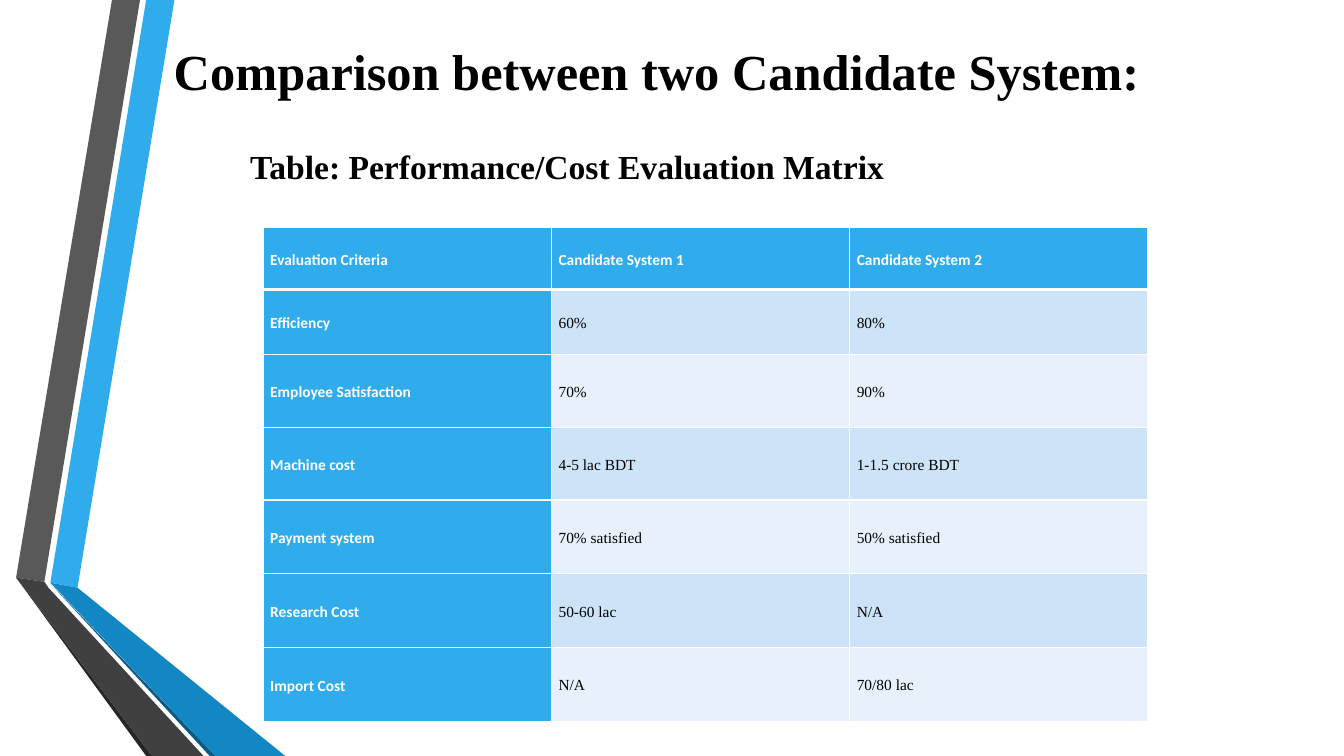
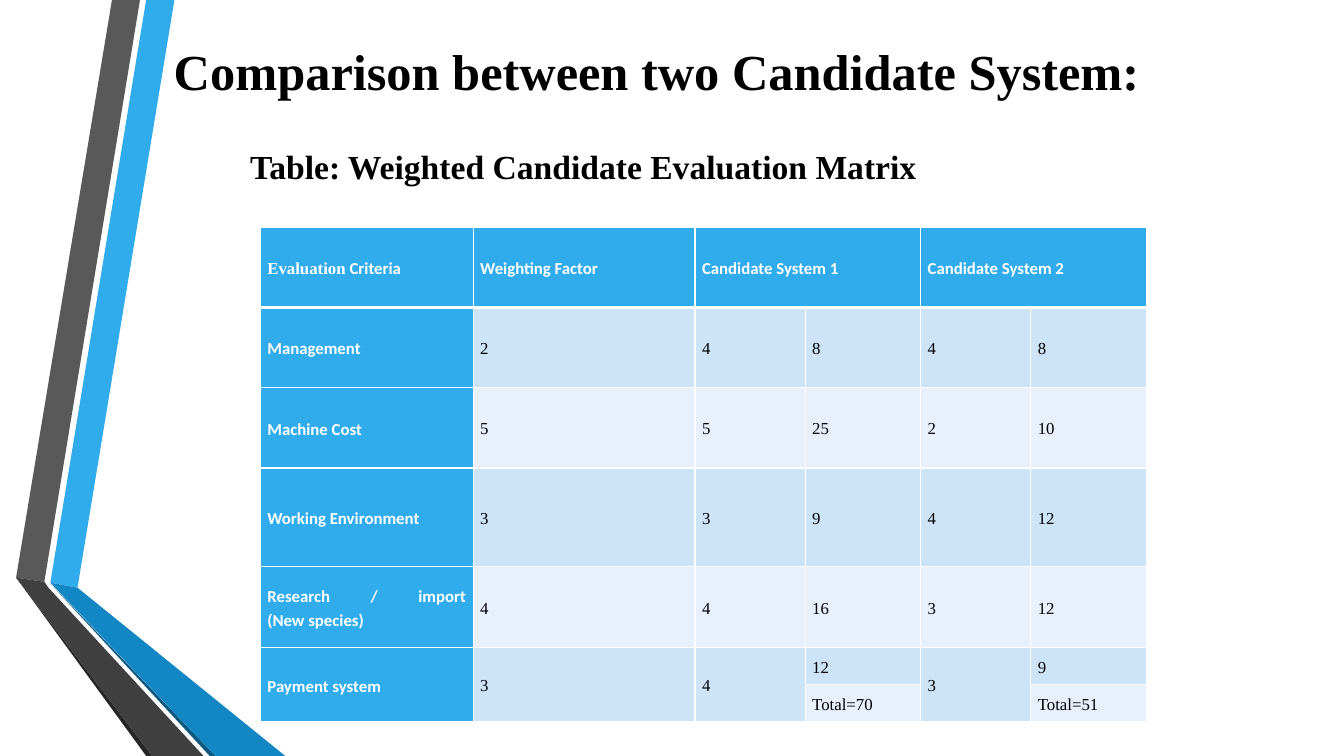
from lxml import etree
from pptx import Presentation
from pptx.dml.color import RGBColor
from pptx.enum import text
from pptx.oxml import ns
from pptx.util import Pt

SERIF, SANS = "Times New Roman", "Calibri"
BLACK, WHITE = "000000", "FFFFFF"
BLUE = "30ACEC"
STRIPES = ["E8F1FB", "CDE3F8"]
TITLE = "Comparison between two Candidate System:"

RIBBONS = [
    (BLUE, [(36, 416.2), (55.4, 419.8), (124.6, 0), (104.4, 0)]),
    ("595959", [(100, 0), (80, 0), (11.5, 412.6), (31.7, 415.6)]),
    ("262626", [(11.5, 412.6), (104.4, 540), (108.7, 540)]),
    ("0C5A82", [(36, 416.9), (149.8, 540), (154, 540)]),
    ("1287C3", [(36, 416.2), (154, 540), (203.8, 540), (55.4, 419.8)]),
    ("404040", [(145.4, 540), (34.6, 419.8), (31.7, 415.6), (11.5, 412.6), (108.7, 540)]),
]

PERFORMANCE = [
    ["Evaluation Criteria", "Candidate System 1", "Candidate System 2"],
    ["Efficiency", "60%", "80%"],
    ["Employee Satisfaction", "70%", "90%"],
    ["Machine cost", "4-5 lac BDT", "1-1.5 crore BDT"],
    ["Payment system", "70% satisfied", "50% satisfied"],
    ["Research Cost", "50-60 lac", "N/A"],
    ["Import Cost", "N/A", "70/80 lac"],
]

WEIGHTED = [
    [[("Evaluation", SERIF), (" Criteria", SANS)], "Weighting Factor",
     "Candidate System 1", "", "Candidate System 2", ""],
    ["Management", "2", "4", "8", "4", "8"],
    ["Machine Cost", "5", "5", "25", "2", "10"],
    ["Working Environment", "3", "3", "9", "4", "12"],
    ["Research / import\v(New species)", "4", "4", "16", "3", "12"],
    ["Payment system", "3", "4", "12", "3", "9"],
    ["", "", "", "Total=70", "", "Total=51"],
]
WEIGHTED_MERGES = [((0, 2), (0, 3)), ((0, 4), (0, 5))] + [
    ((5, column), (6, column)) for column in (0, 1, 2, 4)]


def rgb(value):
    return RGBColor.from_string(value)


def set_font(font, face, size, color, bold):
    font.name = face
    font.size = Pt(size)
    font.bold = bold
    font.color.rgb = rgb(color)


def add_ribbons(page):
    for color, points in RIBBONS:
        corners = [(Pt(x), Pt(y)) for x, y in points]
        builder = page.shapes.build_freeform(*corners[0])
        builder.add_line_segments(corners[1:], close=True)
        ribbon = builder.convert_to_shape()
        ribbon.shadow.inherit = False
        ribbon.fill.solid()
        ribbon.fill.fore_color.rgb = rgb(color)
        ribbon.line.fill.background()


def add_heading(page, words, left, top, width, height, size):
    box = page.shapes.add_textbox(Pt(left), Pt(top), Pt(width), Pt(height))
    frame = box.text_frame
    frame.word_wrap = True
    frame.auto_size = text.MSO_AUTO_SIZE.SHAPE_TO_FIT_TEXT
    para = frame.paragraphs[0]
    para.text = words
    set_font(para.font, SERIF, size, BLACK, True)


def set_borders(cell, row):
    widths = {"L": 1, "R": 1, "T": 3 if row == 1 else 1, "B": 3 if row == 0 else 1}
    properties = cell._tc.get_or_add_tcPr()
    for index, (side, width) in enumerate(widths.items()):
        line = etree.Element(ns.qn(f"a:ln{side}"), w=str(Pt(width)))
        fill = etree.SubElement(line, ns.qn("a:solidFill"))
        etree.SubElement(fill, ns.qn("a:srgbClr"), val=WHITE)
        properties.insert(index, line)


def fill_cell(cell, content, row, column, size):
    heading = row == 0 or column == 0
    color = WHITE if heading else BLACK
    cell.fill.solid()
    cell.fill.fore_color.rgb = rgb(BLUE if heading else STRIPES[row % 2])
    cell.margin_left = cell.margin_right = Pt(5)
    cell.margin_top = cell.margin_bottom = 0
    cell.vertical_anchor = text.MSO_ANCHOR.MIDDLE
    para = cell.text_frame.paragraphs[0]
    para.alignment = text.PP_ALIGN.JUSTIFY
    para.line_spacing = 1.15
    if isinstance(content, str):
        para.text = content
        set_font(para.font, SANS if heading else SERIF, size, color, heading)
    else:
        for words, face in content:
            span = para.add_run()
            span.text = words
            set_font(span.font, face, size, color, heading)
    set_borders(cell, row)


def add_matrix(page, rows, left, widths, heights, size, merges=()):
    frame = page.shapes.add_table(len(rows), len(widths), Pt(left), Pt(162.7),
                                  Pt(sum(widths)), Pt(sum(heights)))
    table = frame.table
    table.horz_banding = False
    for column, width in zip(table.columns, widths):
        column.width = Pt(width)
    for line, height in zip(table.rows, heights):
        line.height = Pt(height)
    for row, contents in enumerate(rows):
        for column, content in enumerate(contents):
            fill_cell(table.cell(row, column), content, row, column, size)
    for first, last in merges:
        table.cell(*first).merge(table.cell(*last))


def add_page(deck, caption):
    page = deck.slides.add_slide(deck.slide_layouts[6])
    add_ribbons(page)
    add_heading(page, TITLE, 117, 25.4, 747, 51, 36)
    add_heading(page, caption, 171.5, 101, 539, 36, 24)
    return page


def main():
    deck = Presentation()
    deck.slide_width, deck.slide_height = Pt(960), Pt(540)

    page = add_page(deck, "Table: Performance/Cost Evaluation Matrix")
    add_matrix(page, PERFORMANCE, 188, [206, 213, 213],
               [44, 46.8, 51.8, 51.8, 52.8, 52.8, 52.5], 11)

    page = add_page(deck, "Table: Weighted Candidate Evaluation Matrix")
    add_matrix(page, WEIGHTED, 186, [152, 158.5] + [78.7, 82.5] * 2,
               [57, 57.3, 57.3, 70.5, 58, 26.4, 26.4], 12, WEIGHTED_MERGES)

    deck.save("out.pptx")


if __name__ == "__main__":
    main()
